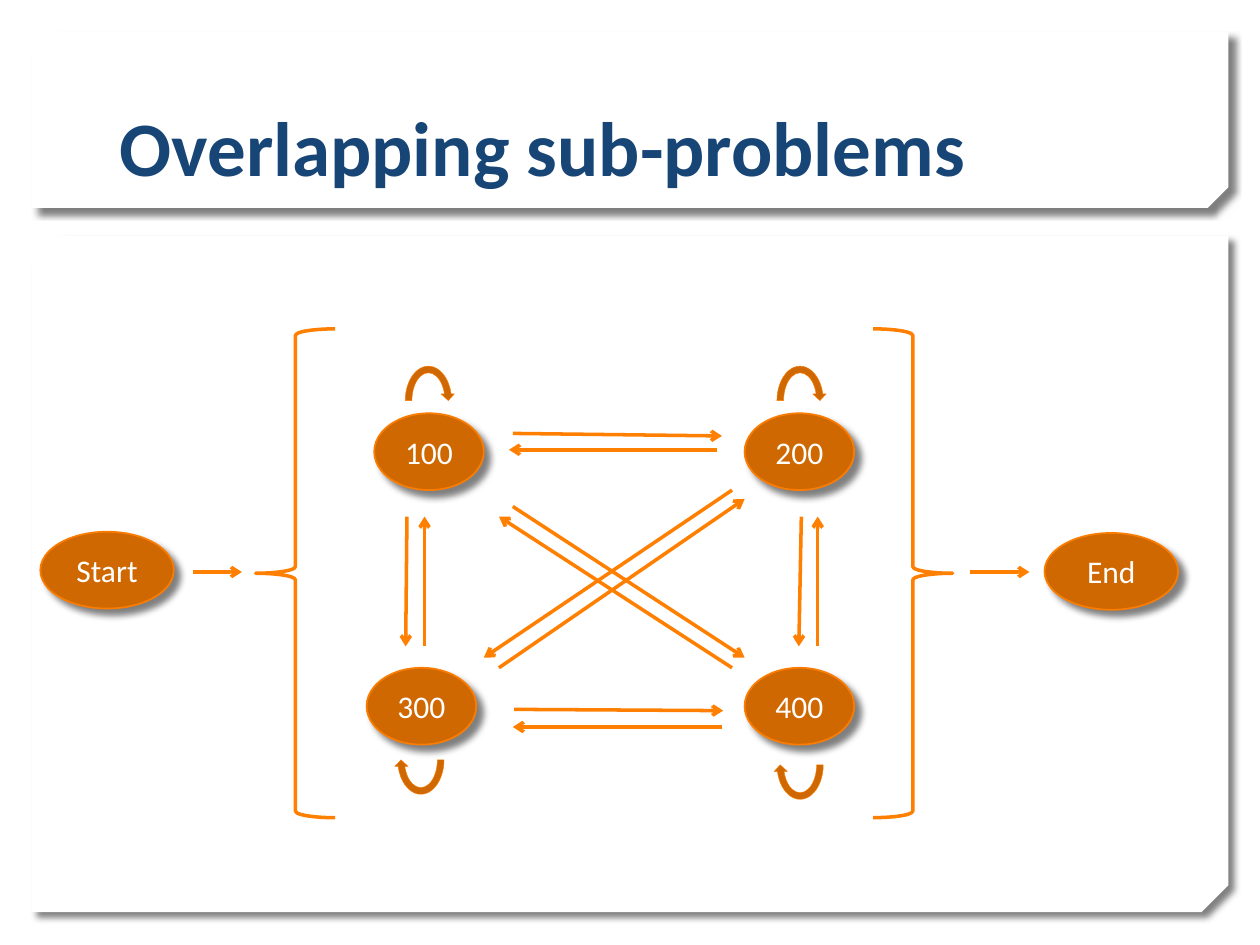
import pptx
import pptx.dml.color
import pptx.enum.shapes
import pptx.enum.text
import pptx.oxml
import pptx.oxml.ns
import pptx.util
import lxml.etree

Inches = pptx.util.Inches
Pt = pptx.util.Pt
RGBColor = pptx.dml.color.RGBColor
ShapeType = pptx.enum.shapes.MSO_SHAPE
Anchor = pptx.enum.text.MSO_ANCHOR
Align = pptx.enum.text.PP_ALIGN

WHITE = RGBColor(0xFF, 0xFF, 0xFF)
NAVY = RGBColor(0x17, 0x45, 0x76)
BROWN = RGBColor(0xD0, 0x68, 0x01)
OUTLINE = RGBColor(0xFA, 0x7C, 0x00)
ORANGE = RGBColor(0xFF, 0x7F, 0x01)

SHADOW = (
    '<a:outerShdw xmlns:a="http://schemas.openxmlformats.org/drawingml/2006/main"'
    ' blurRad="50800" dist="63500" dir="2700000" algn="tl" rotWithShape="0">'
    '<a:srgbClr val="000000"><a:alpha val="50000"/></a:srgbClr></a:outerShdw>'
)

presentation = pptx.Presentation()
presentation.slide_width = Inches(10)
presentation.slide_height = Inches(7.5)
slide = presentation.slides.add_slide(presentation.slide_layouts[5])


def add_shape(kind, box, fill=None, line=None, width=1, shadow=False):
    shape = slide.shapes.add_shape(kind, *map(Inches, box))
    if fill is None:
        shape.fill.background()
    else:
        shape.fill.solid()
        shape.fill.fore_color.rgb = fill
    if line is None:
        shape.line.fill.background()
    else:
        shape.line.color.rgb = line
        shape.line.width = Pt(width)
    shape.shadow.inherit = False
    if shadow:
        effects = shape._element.spPr.find(pptx.oxml.ns.qn("a:effectLst"))
        effects.append(pptx.oxml.parse_xml(SHADOW))
    return shape


def write_text(shape, text, anchor, alignment, font_format):
    frame = shape.text_frame
    frame.text = text
    frame.vertical_anchor = anchor
    paragraph = frame.paragraphs[0]
    paragraph.alignment = alignment
    font = paragraph.runs[0].font
    font.color.rgb = font_format["color"]
    for name, value in font_format["values"].items():
        setattr(font, name, value)


for top, height, snip in [(1.87, 5.37, 0.04), (0.25, 1.4, 0.117)]:
    panel = add_shape(ShapeType.SNIP_2_DIAG_RECTANGLE, (0.25, top, 9.5, height), WHITE, shadow=True)
    panel.adjustments[0] = snip
    panel.adjustments[1] = 0

title = slide.shapes.title
title_place = {"left": 0.85, "top": 0.32, "width": 8.29, "height": 1.25}
for name, value in title_place.items():
    setattr(title, name, Inches(value))
title_format = {"color": NAVY, "values": {"name": "Calibri", "size": Pt(44), "bold": True}}
write_text(title, "Overlapping sub-problems", Anchor.BOTTOM, Align.LEFT, title_format)
slide.shapes._spTree.append(title._element)

node_format = {"color": WHITE, "values": {"name": "Calibri", "size": Pt(18), "bold": False}}
nodes = [
    ("400", 5.91, 5.3, 0.87),
    ("200", 5.91, 3.28, 0.87),
    ("100", 2.97, 3.28, 0.87),
    ("300", 2.91, 5.3, 0.87),
    ("Start", 0.32, 4.22, 1.06),
    ("End", 8.29, 4.23, 1.06),
]
for label, left, top, width in nodes:
    node = add_shape(ShapeType.OVAL, (left, top, width, 0.61), BROWN, OUTLINE, shadow=True)
    node.text_frame.word_wrap = False
    write_text(node, label, Anchor.MIDDLE, Align.CENTER, node_format)

arrows = [
    (4.07, 3.44, 5.73, 3.46),
    (5.69, 3.57, 4.04, 3.57),
    (4.08, 5.63, 5.74, 5.64),
    (5.73, 5.77, 4.07, 5.77),
    (3.23, 4.1, 3.22, 5.13),
    (3.37, 5.13, 3.37, 4.1),
    (6.36, 4.1, 6.34, 5.13),
    (6.49, 5.13, 6.49, 4.1),
    (4.07, 4.02, 5.91, 5.22),
    (5.81, 5.3, 3.96, 4.1),
    (5.81, 3.89, 3.84, 5.22),
    (3.96, 5.3, 5.91, 3.96),
    (1.53, 4.54, 1.92, 4.54),
    (7.7, 4.54, 8.17, 4.54),
]
for ends in arrows:
    arrow = slide.shapes.add_connector(pptx.enum.shapes.MSO_CONNECTOR.STRAIGHT, *map(Inches, ends))
    arrow.line.color.rgb = ORANGE
    arrow.line.width = Pt(2)
    outline = arrow.line._get_or_add_ln()
    lxml.etree.SubElement(outline, pptx.oxml.ns.qn("a:tailEnd"), type="arrow")
    lxml.etree.SubElement(arrow._element.spPr, pptx.oxml.ns.qn("a:effectLst"))

for left, top, rotation in [(3.13, 5.73, 180), (6.14, 5.77, 180), (3.19, 2.88, 0), (6.14, 2.88, 0)]:
    loop = add_shape(ShapeType.CIRCULAR_ARROW, (left, top, 0.42, 0.6), BROWN, OUTLINE, 0.25)
    loop.rotation = rotation

for kind, left in [(ShapeType.LEFT_BRACE, 2.03), (ShapeType.RIGHT_BRACE, 6.93)]:
    add_shape(kind, (left, 2.61, 0.63, 3.88), line=ORANGE, width=2)

presentation.save("out.pptx")
